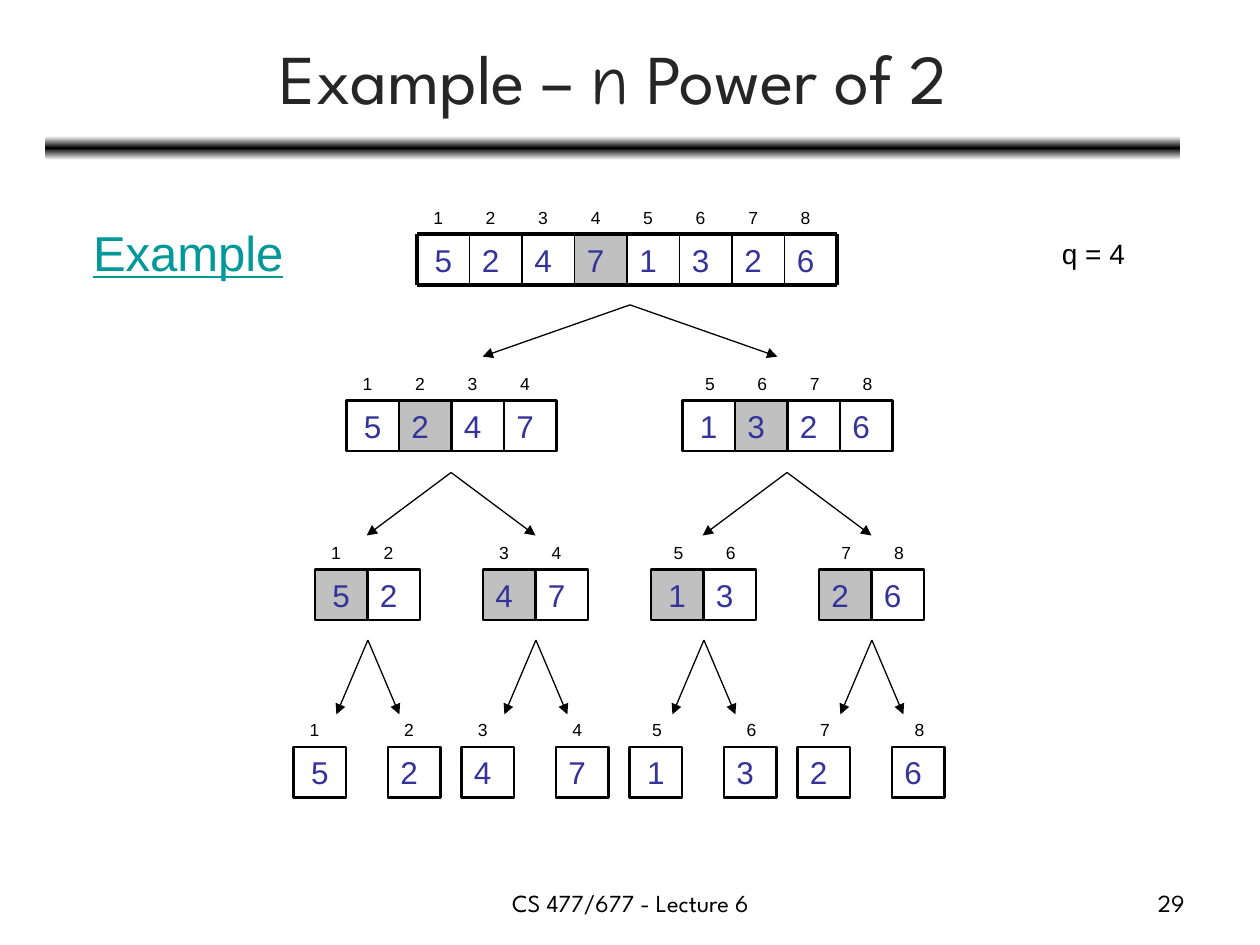
import copy

import pptx
import pptx.dml.color
import pptx.enum.shapes
import pptx.enum.text
import pptx.oxml.ns
import pptx.util
from lxml import etree
from pptx.util import Inches

COLORS = {"black": "000000", "white": "FFFFFF", "title": "262626",
          "digit": "333399", "shade": "C0C0C0", "heading": "009999"}
ALIGN = pptx.enum.text.PP_ALIGN
ANCHOR = pptx.enum.text.MSO_ANCHOR
SHAPES = pptx.enum.shapes.MSO_SHAPE
DIGITS = [5, 2, 4, 7, 1, 3, 2, 6]
CELL_WIDTH = 5 / 12
CELL_HEIGHT = 0.4
PAIR_STEP = 4 / 3


def color(name):
    """Return the named colour as an RGBColor."""
    return pptx.dml.color.RGBColor.from_string(COLORS[name])


def write_text(shape, text, size=18, font="Arial", fill="black", align=ALIGN.LEFT,
               anchor=ANCHOR.TOP, underline=None, wrap=True, grow=False):
    """Add a formatted run to the first paragraph of a shape."""
    frame = shape.text_frame
    frame.word_wrap = wrap
    frame.vertical_anchor = anchor
    sizes = pptx.enum.text.MSO_AUTO_SIZE
    frame.auto_size = sizes.SHAPE_TO_FIT_TEXT if grow else sizes.NONE
    paragraph = frame.paragraphs[0]
    paragraph.alignment = align
    run = paragraph.add_run()
    run.text = text
    run.font.size = pptx.util.Pt(size)
    run.font.name = font
    run.font.underline = underline
    run.font.color.rgb = color(fill)


def add_label(slide, left, top, width, height, text, **text_format):
    """Add a text box."""
    box = slide.shapes.add_textbox(Inches(left), Inches(top), Inches(width), Inches(height))
    write_text(box, text, **text_format)


def add_line(slide, start, end, weight, arrow=False):
    """Add a straight black line, with an arrowhead at its end if asked."""
    line = slide.shapes.add_connector(
        pptx.enum.shapes.MSO_CONNECTOR.STRAIGHT, *map(Inches, (*start, *end)))
    line.line.color.rgb = color("black")
    line.line.width = pptx.util.Pt(weight)
    if arrow:
        etree.SubElement(line.line._get_or_add_ln(), pptx.oxml.ns.qn("a:tailEnd"),
                         type="triangle")
    etree.SubElement(line._element.spPr, pptx.oxml.ns.qn("a:effectLst"))


def add_fork(slide, apex, top, spread, bottom):
    """Add the two arrows from an array to its halves."""
    for side in (-1, 1):
        add_line(slide, (apex, top), (apex + side * spread, bottom), 0.75, arrow=True)


def add_cell(slide, left, top, digit, shaded, outlined, align):
    """Add one array cell."""
    cell = slide.shapes.add_shape(SHAPES.RECTANGLE, Inches(left), Inches(top),
                                  Inches(CELL_WIDTH), Inches(CELL_HEIGHT))
    cell.shadow.inherit = False
    if shaded:
        cell.fill.solid()
        cell.fill.fore_color.rgb = color("shade")
    else:
        cell.fill.background()
    if outlined:
        cell.line.color.rgb = color("black")
        cell.line.width = pptx.util.Pt(1.5)
    else:
        cell.line.fill.background()
    write_text(cell, str(digit), fill="digit", align=align, anchor=ANCHOR.MIDDLE)


def add_array(slide, left, top, first, count, outlined=True):
    """Add a run of cells with its indices, shading the last cell of the left half."""
    label_shift = 0.03 if first < 5 else 0.08
    for offset in range(count):
        index = first + offset
        cell_left = left + offset * CELL_WIDTH
        add_label(slide, cell_left + label_shift, top - 0.27, 0.25, 0.27, str(index),
                  size=10, grow=True)
        centred = offset == 0 and first in (1, 5)
        add_cell(slide, cell_left, top, DIGITS[index - 1], offset == count // 2 - 1,
                 outlined, ALIGN.CENTER if centred else ALIGN.LEFT)


def add_root_grid(slide, left, top):
    """Rule the full array with a heavy frame and thin dividers."""
    count = len(DIGITS)
    right, bottom = left + count * CELL_WIDTH, top + CELL_HEIGHT
    for y in (top, bottom):
        add_line(slide, (left, y), (right, y), 2.25)
    for column in range(count + 1):
        x = left + column * CELL_WIDTH
        add_line(slide, (x, top), (x, bottom), 2.25 if column in (0, count) else 1)


def add_title_bar(slide):
    """Add the bar below the title, fading from black to white at both edges."""
    bar = slide.shapes.add_shape(SHAPES.ROUNDED_RECTANGLE, Inches(0.36), Inches(1.08),
                                 Inches(9.01), Inches(0.19))
    bar.shadow.inherit = False
    bar.line.fill.background()
    bar.fill.gradient()
    bar.fill.gradient_angle = 90
    stop_list = bar._element.spPr.find(".//" + pptx.oxml.ns.qn("a:gsLst"))
    stop_list.append(copy.deepcopy(stop_list[0]))
    for stop, position, name in zip(bar.fill.gradient_stops, (0, 0.5, 1),
                                    ("white", "black", "white")):
        stop.position = position
        stop.color.rgb = color(name)


def add_title(slide):
    """Place and fill the title placeholder."""
    title = slide.shapes.title
    title.left, title.top, title.width, title.height = map(Inches, (0.37, 0.11, 9, 0.99))
    for text, font in (("Example – ", "League Spartan"), ("n", "Comic Neue"),
                       (" Power of 2", "League Spartan")):
        write_text(title, text, size=40, font=font, fill="title", align=ALIGN.CENTER,
                   anchor=ANCHOR.MIDDLE)


def add_tree(slide):
    """Add the arrays of every level and the arrows between them."""
    add_array(slide, 3.31, 1.86, 1, 8, outlined=False)
    add_root_grid(slide, 3.31, 1.86)
    add_fork(slide, 5, 2.42, 1.17, 2.83)
    for half in range(2):
        shift = half * 2 * PAIR_STEP
        add_array(slide, 2.75 + shift, 3.18, 1 + 4 * half, 4)
        add_fork(slide, 3.58 + shift, 3.75, 0.67, 4.25)
    for pair in range(4):
        shift = pair * PAIR_STEP
        first = 1 + 2 * pair
        add_array(slide, 2.5 + shift, 4.52, first, 2)
        add_fork(slide, 2.92 + shift, 5.08, 0.25, 5.67)
        for side in range(2):
            add_array(slide, 2.33 + shift + 0.75 * side, 5.93, first + side, 1)


def main():
    """Build the slide and save it."""
    presentation = pptx.Presentation()
    presentation.slide_width, presentation.slide_height = Inches(10), Inches(7.5)
    slide = presentation.slides.add_slide(presentation.slide_layouts[5])
    add_title_bar(slide)
    add_title(slide)
    add_tree(slide)
    add_label(slide, 8.33, 1.83, 1.08, 0.37, "q = 4", size=16, grow=True)
    add_label(slide, 0.64, 1.72, 1.72, 0.57, "Example", size=28, fill="heading",
              underline=True, wrap=False, grow=True)
    add_label(slide, 3.42, 7, 3.17, 0.35, "CS 477/677 - Lecture 6", size=14,
              font="League Spartan", align=ALIGN.CENTER)
    add_label(slide, 7.17, 7, 2.33, 0.35, "29", size=14, font="League Spartan",
              align=ALIGN.RIGHT)
    presentation.save("out.pptx")


if __name__ == "__main__":
    main()
